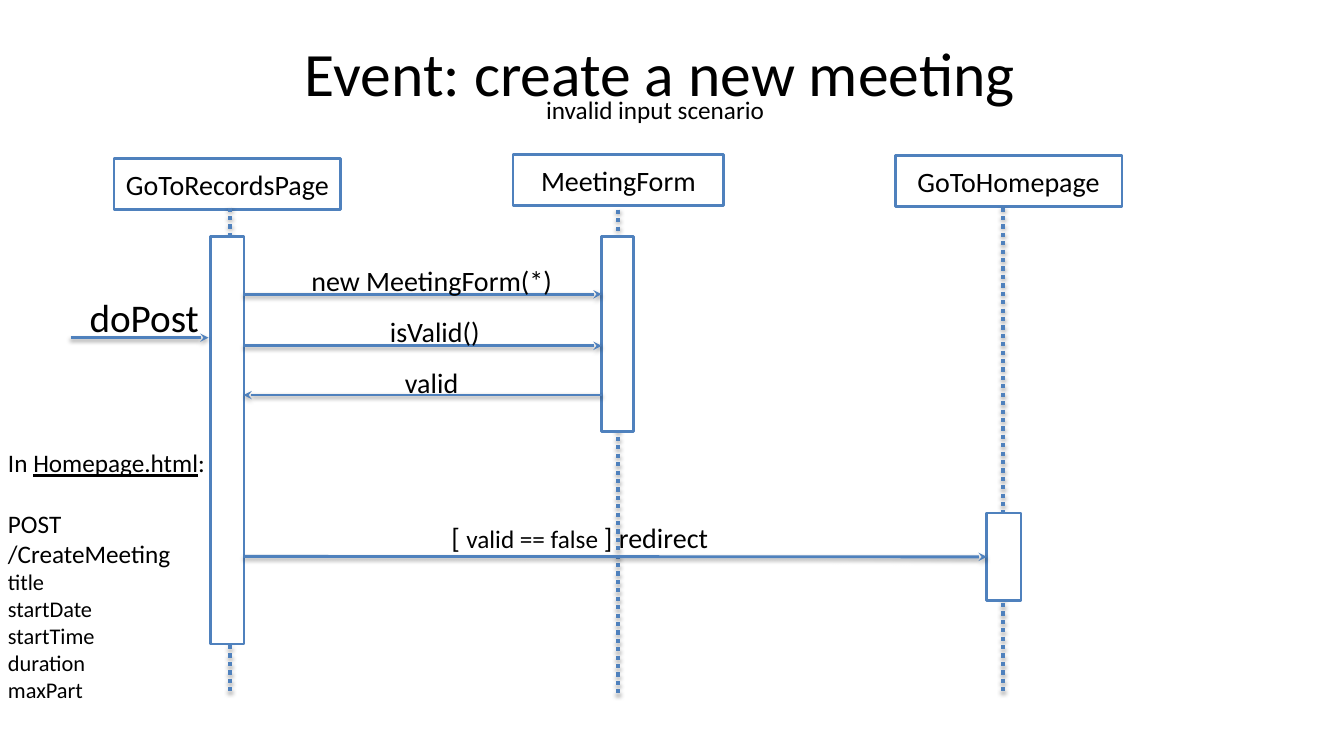
from lxml import etree
from pptx import Presentation, util as u
from pptx.dml.color import RGBColor
from pptx.enum import dml, shapes, text
from pptx.oxml import parse_xml
from pptx.oxml.ns import nsdecls, qn

BLUE = RGBColor(0x4F, 0x81, 0xBD)
WHITE = RGBColor(0xFF, 0xFF, 0xFF)
BLACK = RGBColor(0, 0, 0)
FONT = "Calibri"
LIFELINE_END = 495.4
HEAD_HEIGHT = 36.7
LABEL_HEIGHT = 31.7
DOTTED = {"width": u.Pt(3), "dash_style": dml.MSO_LINE.ROUND_DOT}
SOLID = {"width": u.Pt(2)}
LEFT = {"alignment": text.PP_ALIGN.LEFT}
CENTER = {"alignment": text.PP_ALIGN.CENTER}


def apply(target, values):
    for key, value in values.items():
        setattr(target, key, value)


def points(*lengths):
    return [u.Pt(length) for length in lengths]


def write(frame, paragraphs, layout=LEFT, anchor=text.MSO_ANCHOR.TOP):
    apply(frame, {"word_wrap": True, "vertical_anchor": anchor})
    for index, (runs, spacing) in enumerate(paragraphs):
        line = frame.paragraphs[0] if index == 0 else frame.add_paragraph()
        apply(line, {**layout, **spacing})
        for words, size, *underline in runs:
            run = line.add_run()
            run.text = words
            apply(run.font, {"name": FONT, "size": u.Pt(size),
                             "underline": bool(underline) or None})
            run.font.color.rgb = BLACK


def label(slide, box, *runs, **options):
    caption = slide.shapes.add_textbox(*points(*box))
    write(caption.text_frame, [(runs, {})], **options)


def block(slide, box):
    rect = slide.shapes.add_shape(shapes.MSO_SHAPE.RECTANGLE, *points(*box))
    rect.shadow.inherit = False
    rect.fill.solid()
    rect.fill.fore_color.rgb = WHITE
    rect.line.color.rgb = BLUE
    apply(rect.line, SOLID)
    return rect


def connector(slide, start, end, style, opacity, distance):
    link = slide.shapes.add_connector(
        shapes.MSO_CONNECTOR.STRAIGHT, *points(*start, *end))
    link.line.color.rgb = BLUE
    apply(link.line, style)
    link._element.spPr.append(parse_xml(
        f'<a:effectLst {nsdecls("a")}><a:outerShdw blurRad="{u.Pt(3.1)}" '
        f'dist="{u.Pt(distance)}" dir="5400000" rotWithShape="0">'
        f'<a:srgbClr val="000000"><a:alpha val="{opacity * 1000}"/></a:srgbClr>'
        '</a:outerShdw></a:effectLst>'))
    return link


def arrow(slide, start, end):
    link = connector(slide, start, end, SOLID, 38, 1.6)
    etree.SubElement(link.line._get_or_add_ln(), qn("a:tailEnd"), type="stealth")
    return link


def heading(slide, box):
    left, top, width, height = box
    label(slide, box, ("Event: create a new meeting", 44),
          layout=CENTER, anchor=text.MSO_ANCHOR.MIDDLE)
    label(slide, (left + 343.4, top + 57.6, 193.7, 28.8),
          ("invalid input scenario", 18))


def participant(slide, name, box, axis, start, bar):
    head = block(slide, (*box, HEAD_HEIGHT))
    write(head.text_frame, [([(name, 20)], {})], CENTER, text.MSO_ANCHOR.MIDDLE)
    connector(slide, (axis, start), (axis, LIFELINE_END), DOTTED, 35, 1.8)
    return block(slide, bar)


def incoming_request(slide, box):
    left, top, width, height = box
    arrow(slide, (left, top + height), (left + width, top + height))
    label(slide, (left + 6.5, top, 96, 41), ("doPost", 28))


def form_messages(slide, left, right):
    messages = [
        ("new MeetingForm(*)", 210.2, (215.3, 185, 190), False),
        ("isValid()", 247, (271.4, 221, 82.8), False),
        ("valid", 282.2, (282.2, 257.8, 61.2), True),
    ]
    for words, y, box, is_reply in messages:
        ends = [(left, y), (right, y)]
        arrow(slide, *(reversed(ends) if is_reply else ends))
        label(slide, (*box, LABEL_HEIGHT), (words, 20))


def redirect_message(slide, start, homepage):
    link = arrow(slide, start, start)
    link.end_connect(homepage, 1)
    left, top = start
    label(slide, (left + 141.5, top - 28.8, 218.9, LABEL_HEIGHT),
          ("[ ", 20), ("valid == false ", 18), ("] redirect", 20))


def request_note(slide, box):
    note = slide.shapes.add_textbox(*points(*box))
    fields = ["title", "startDate", "startTime", "duration", "maxPart"]
    write(note.text_frame, [
        ([("In ", 18), ("Homepage.html", 18, True), (":", 18)], {}),
        ([("POST", 18)], {"space_before": u.Pt(21.6)}),
        ([("/CreateMeeting", 18)], {}),
        *(([(field, 16)], {}) for field in fields),
    ])


def sequence_slide(deck):
    slide = deck.slides.add_slide(deck.slide_layouts[6])
    heading(slide, (39.6, 6.5, 864, 90))
    participant(slide, "GoToRecordsPage", (81.4, 113, 162),
                164.2, 148.3, (150.5, 169.2, 23.8, 290.9))
    participant(slide, "MeetingForm", (366.5, 110.2, 150.5),
                441.4, 149.8, (429.8, 169.2, 23, 139))
    homepage = participant(slide, "GoToHomepage", (639.4, 110.9, 162),
                           716.4, 148.3, (704.9, 366.5, 24.5, 62.6))
    incoming_request(slide, (50.4, 205.9, 98.6, 35.3))
    request_note(slide, (-1.4, 316.1, 164.2, 191.5))
    form_messages(slide, 173.9, 429.8)
    redirect_message(slide, (173.9, 397.4), homepage)


def main():
    deck = Presentation()
    apply(deck, {"slide_width": u.Pt(960), "slide_height": u.Pt(540)})
    sequence_slide(deck)
    deck.save("out.pptx")


if __name__ == "__main__":
    main()
